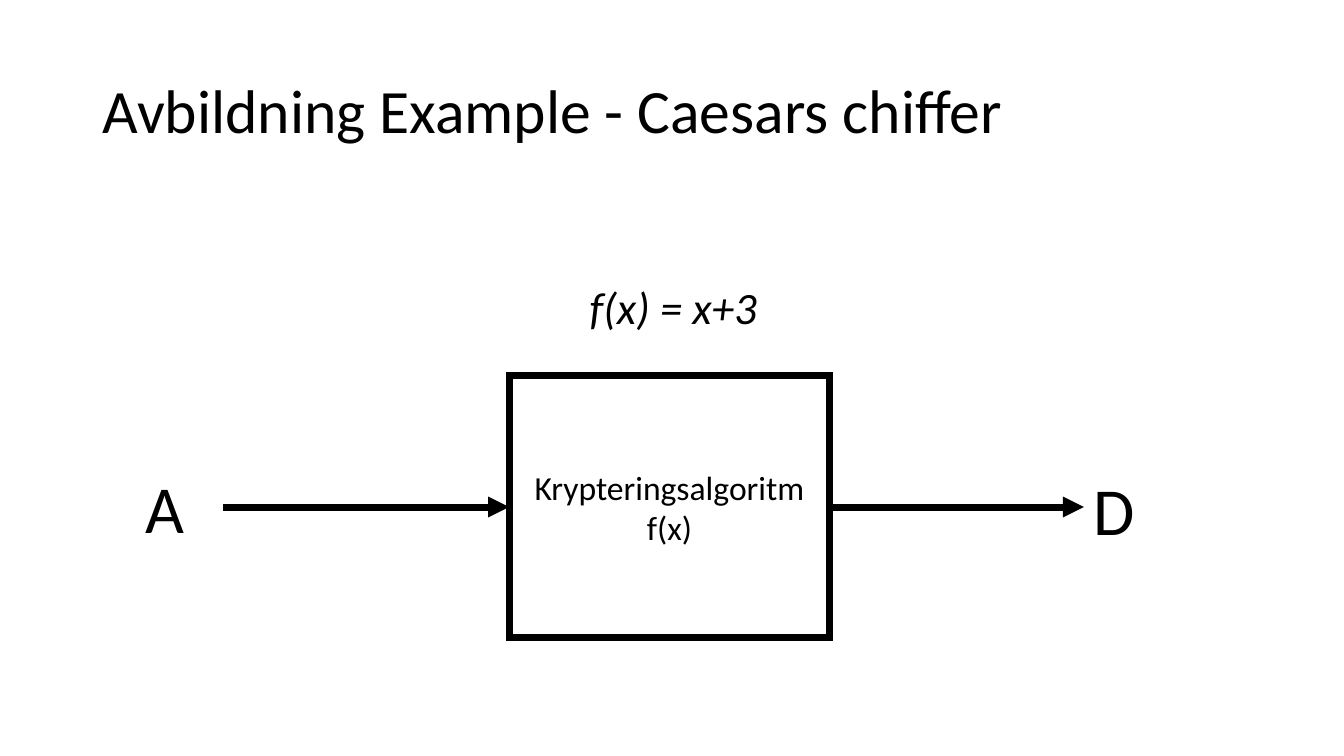
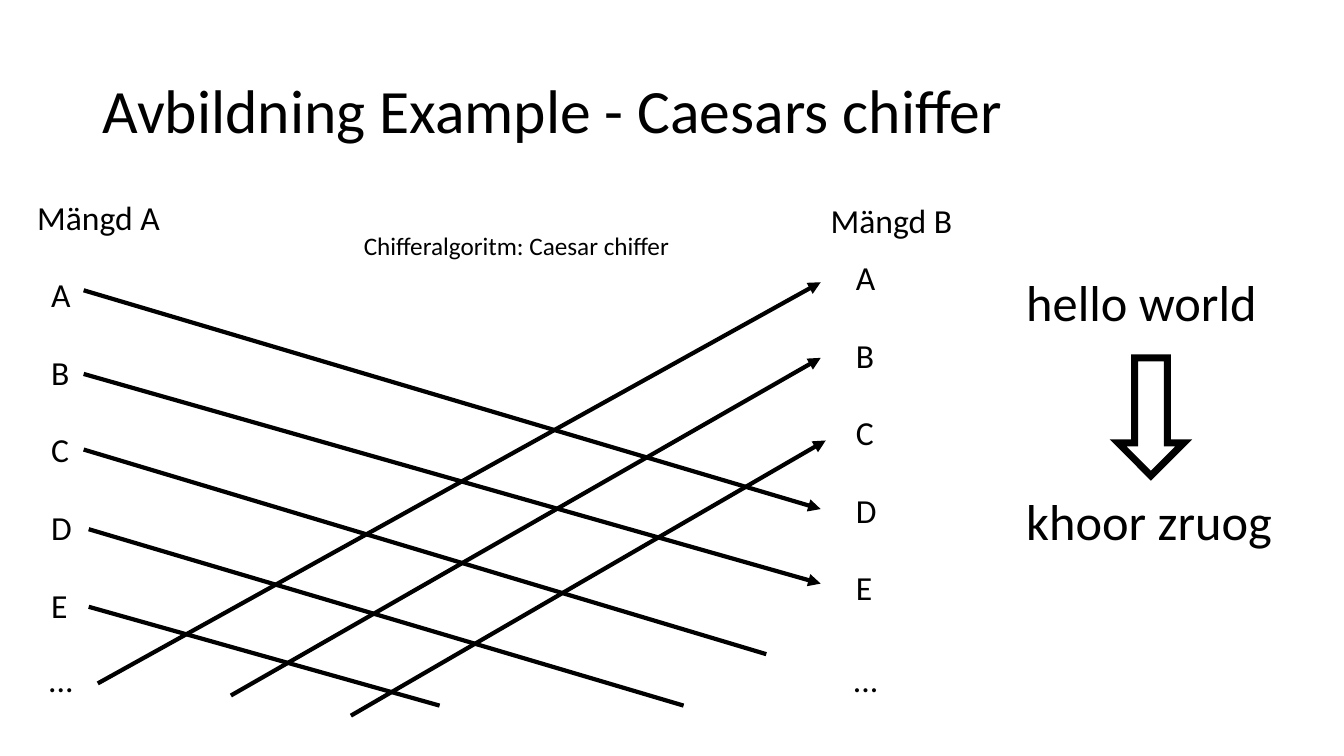
"""Build two slides that explain the Caesar cipher as a mapping."""
from pptx import Presentation
from pptx.dml.color import RGBColor
from pptx.enum.shapes import MSO_CONNECTOR as Connector, MSO_SHAPE as Shape
from pptx.enum.text import MSO_ANCHOR as Anchor, PP_ALIGN as Align
from pptx.oxml.ns import qn
from pptx.util import Pt
from lxml.etree import SubElement

PX = 9144
BLACK = RGBColor(0x00, 0x00, 0x00)
WHITE = RGBColor(0xFF, 0xFF, 0xFF)
FONT = "Calibri"
TITLE = "Avbildning Example - Caesars chiffer"
LETTER_STEP = 77


def write_text(shape, text, size=24, italic=False, wrap=False,
               align=Align.LEFT, anchor=Anchor.TOP, spacing=None):
    frame = shape.text_frame
    frame.word_wrap = wrap
    frame.vertical_anchor = anchor
    frame.text = text
    for para in frame.paragraphs:
        para.alignment = align
        para.line_spacing = spacing
        for span in para.runs:
            span.font.name = FONT
            span.font.size = Pt(size)
            span.font.italic = italic
            span.font.color.rgb = BLACK


def draw_line(page, start, end, width=3, arrow=True):
    line = page.shapes.add_connector(
        Connector.STRAIGHT, *(value * PX for value in start + end))
    line.line.color.rgb = BLACK
    line.line.width = Pt(width)
    if arrow:
        SubElement(line.line._get_or_add_ln(), qn("a:tailEnd"), type="triangle")
    SubElement(line._element.spPr, qn("a:effectLst"))
    return line


deck = Presentation()
deck.slide_width, deck.slide_height = 1333 * PX, 750 * PX
function_page, mapping_page = [
    deck.slides.add_slide(deck.slide_layouts[6]) for _ in range(2)]

for page in (function_page, mapping_page):
    title = page.shapes.add_textbox(92 * PX, 40 * PX, 1150 * PX, 145 * PX)
    write_text(title, TITLE, size=44, wrap=True, anchor=Anchor.MIDDLE, spacing=0.9)

algorithm_box = function_page.shapes.add_shape(
    Shape.RECTANGLE, 505 * PX, 373 * PX, 318 * PX, 260 * PX)
down_arrow = mapping_page.shapes.add_shape(
    Shape.DOWN_ARROW, 1109 * PX, 355 * PX, 65 * PX, 117 * PX)
for shape in (algorithm_box, down_arrow):
    shape.shadow.inherit = False
    shape.fill.solid()
    shape.fill.fore_color.rgb = WHITE
    shape.line.color.rgb = BLACK
    shape.line.width = Pt(5)
    SubElement(shape.line._get_or_add_ln(), qn("a:miter"), lim="800000")
write_text(algorithm_box, "Krypteringsalgoritm\nf(x)", wrap=True,
           align=Align.CENTER, anchor=Anchor.MIDDLE)

input_arrow = draw_line(function_page, (221, 503), (505, 503), width=5)
input_arrow.end_connect(algorithm_box, 1)
output_arrow = draw_line(function_page, (823, 503), (1075, 503), width=5)
output_arrow.begin_connect(algorithm_box, 3)

labels = [
    (function_page, "A", 135, 458, 86, 91, 48, False),
    (function_page, "D", 1075, 460, 84, 91, 48, False),
    (function_page, "f(x) = x+3", 575, 273, 412, 64, 32, True),
    (mapping_page, "Mängd A", 27, 190, 143, 50, 24, False),
    (mapping_page, "Mängd B", 814, 193, 142, 50, 24, False),
    (mapping_page, "Chifferalgoritm: Caesar chiffer", 351, 224, 327, 40, 18, False),
    (mapping_page, "hello world", 1008, 264, 251, 71, 36, False),
    (mapping_page, "khoor zruog", 1008, 481, 266, 71, 36, False),
]
for left, top in ((41, 267), (839, 250)):
    for row, letter in enumerate("ABCDE"):
        labels.append((mapping_page, letter, left, top + row * LETTER_STEP,
                       40, 50, 24, False))
    labels.append((mapping_page, "...", left - 3, 649, 45, 50, 24, False))

for page, text, left, top, width, height, size, italic in labels:
    label = page.shapes.add_textbox(left * PX, top * PX, width * PX, height * PX)
    write_text(label, text, size=size, italic=italic)

for start, end, arrow in (
    ((83, 288), (814, 505), True),
    ((83, 371), (814, 579), True),
    ((83, 446), (760, 649), False),
    ((88, 525), (678, 700), False),
    ((88, 602), (436, 700), False),
    ((97, 678), (814, 280), True),
    ((229, 690), (814, 355), True),
    ((348, 710), (819, 437), True),
):
    draw_line(mapping_page, start, end, arrow=arrow)

deck.save("out.pptx")
